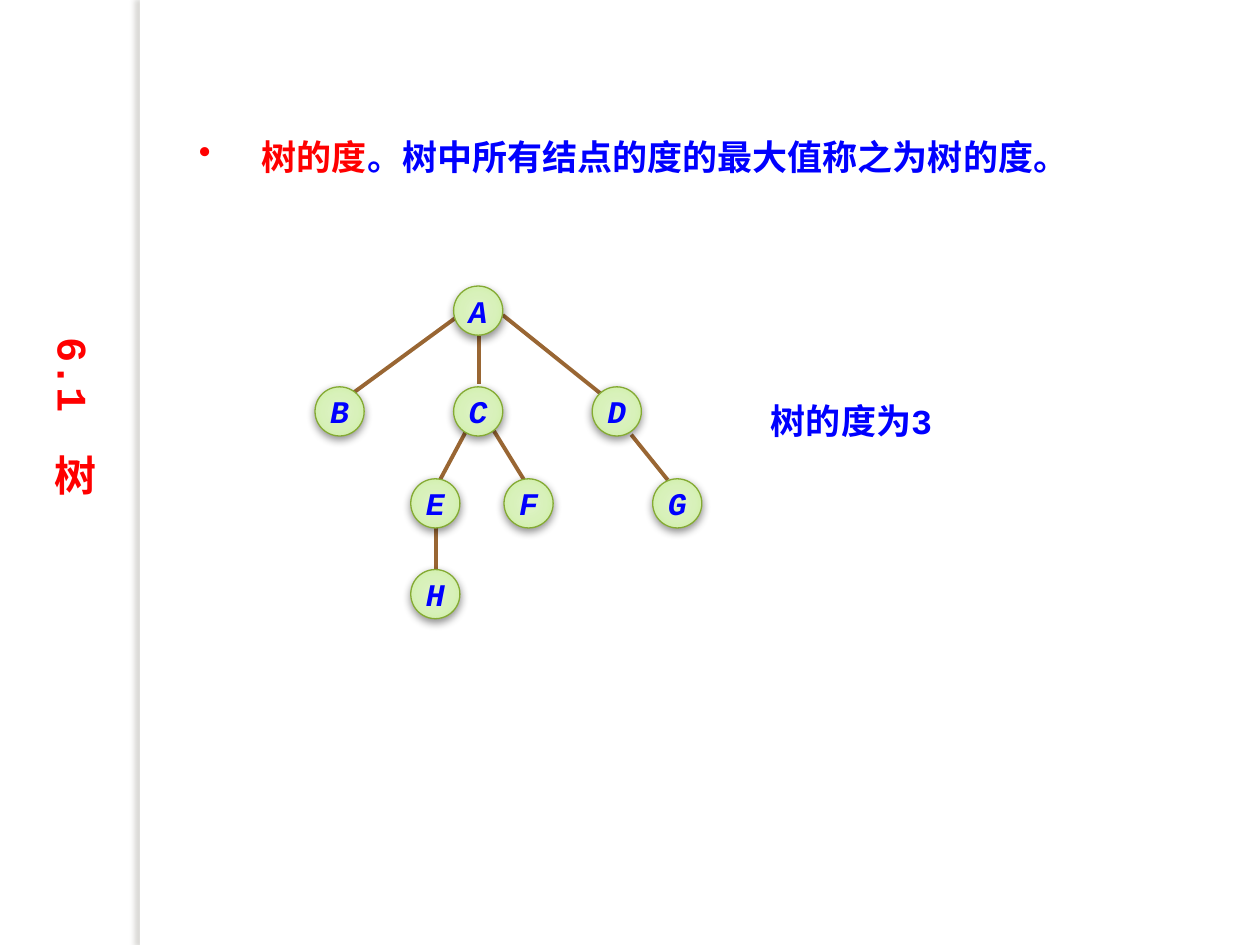
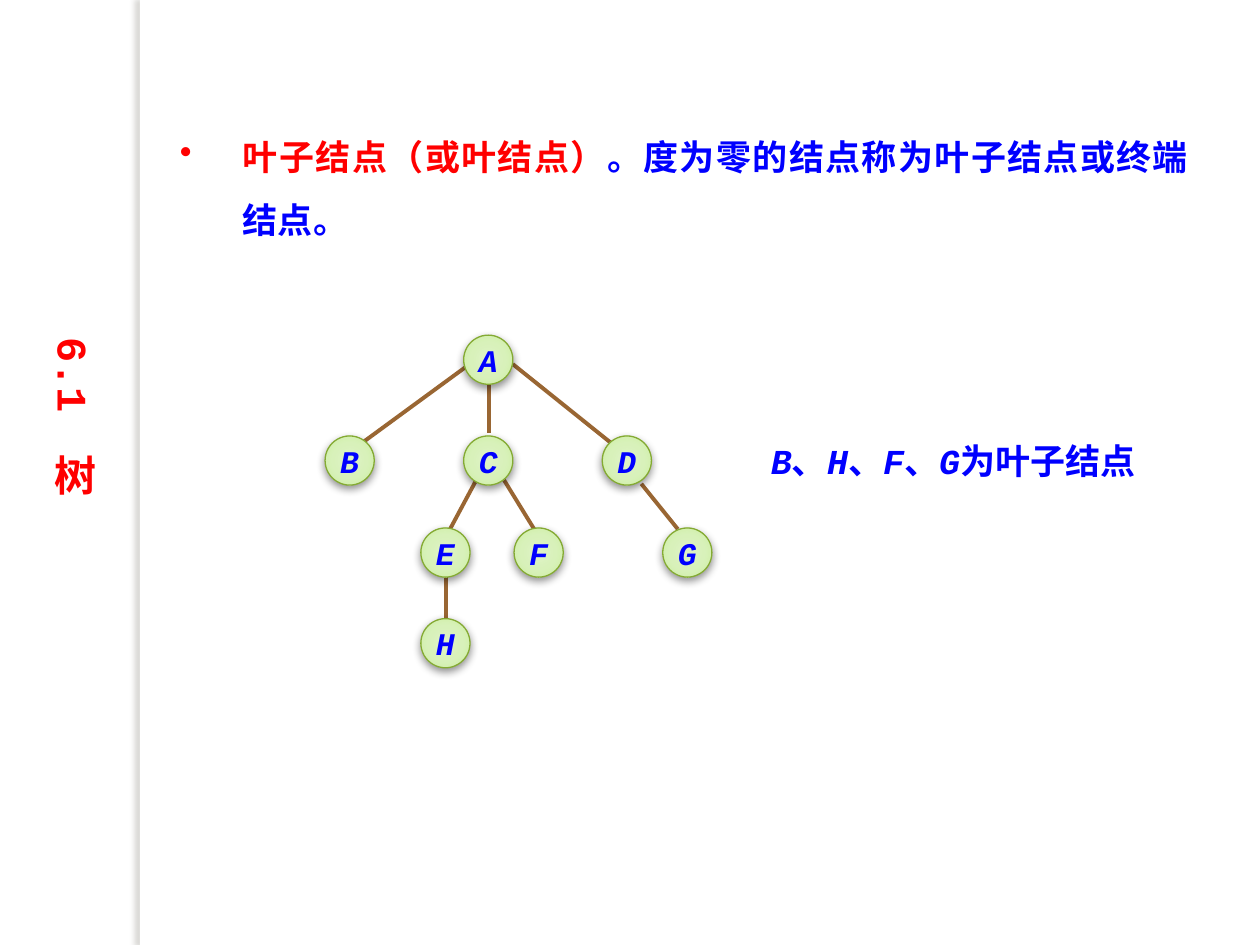
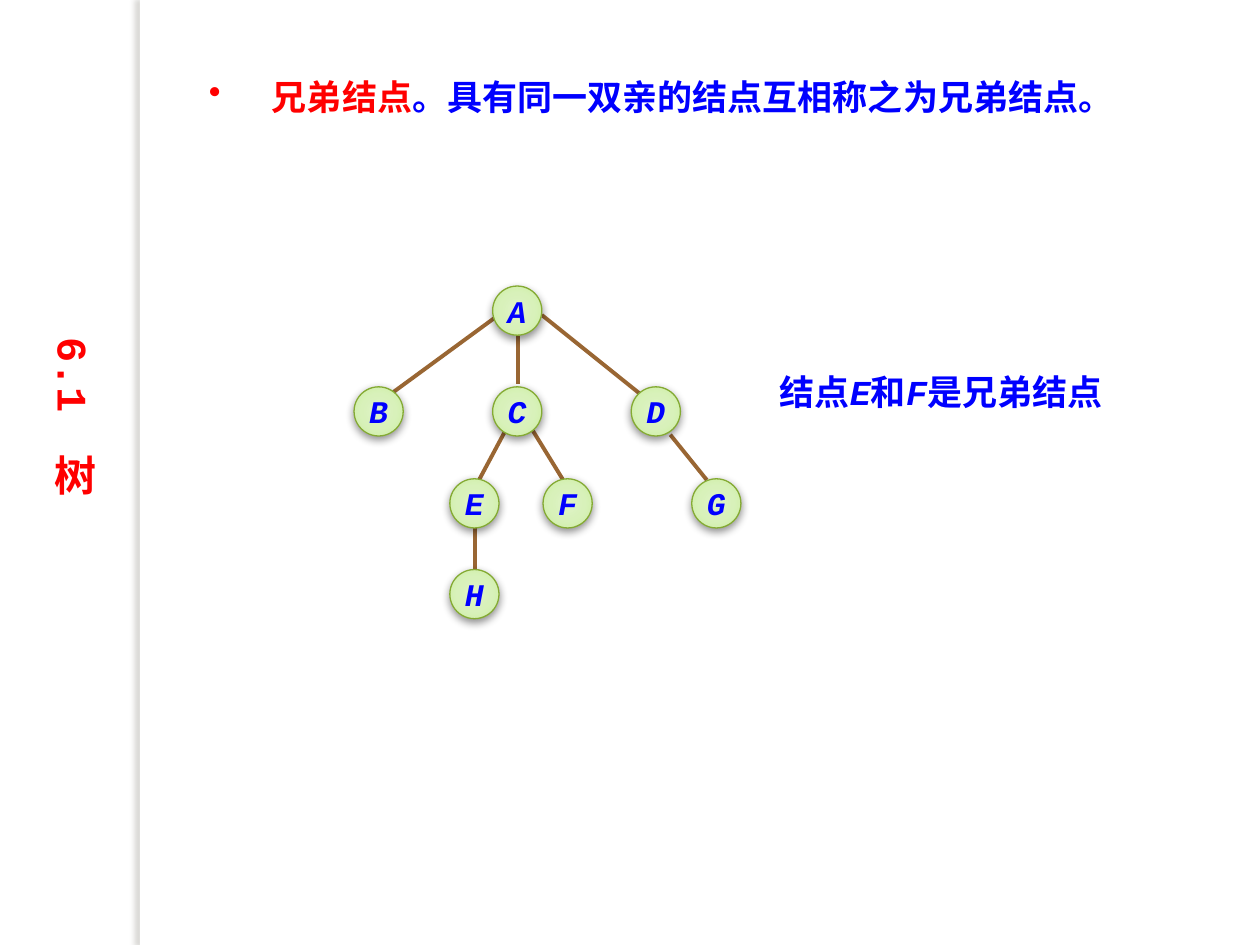
from dataclasses import dataclass

from lxml import etree
from pptx import Presentation
from pptx.dml.color import RGBColor
from pptx.enum.shapes import MSO_CONNECTOR, MSO_SHAPE
from pptx.enum.text import MSO_ANCHOR, MSO_AUTO_SIZE, PP_ALIGN
from pptx.oxml import parse_xml
from pptx.oxml.ns import nsdecls, qn
from pptx.util import Inches, Pt


@dataclass(frozen=True)
class Theme:
    """Colours, fonts and type sizes shared by the slides."""
    red: str = "FF0000"
    blue: str = "0000FF"
    white: str = "FFFFFF"
    edge: str = "996633"
    node_line: str = "84AA33"
    node_stops: tuple = ((0, "DFF3C7"), (50, "D8F1BA"), (97, "CDEFA2"), (100, "CAF199"))
    strip_shadow: tuple = ("736F63", 25, 3, 3, 180)
    node_shadow: tuple = ("000000", 43, 5, 2, 90)
    chinese: str = "Noto Sans CJK SC"
    mono: str = "Courier New"
    serif: str = "Times New Roman"
    title_size: int = 24
    body_size: int = 20
    node_size: int = 18


THEME = Theme()
SECTION = "6.1\u3000树"
NODE_SIZE = 0.39

# Top left corner of each node, relative to the box of the tree
COLUMN = 1.1
LEVELS = (0, 0.8, 1.53, 2.25)
NODES = {
    "A": (COLUMN, LEVELS[0]),
    "B": (0, LEVELS[1]), "C": (COLUMN, LEVELS[1]), "D": (2 * COLUMN, LEVELS[1]),
    "E": (0.76, LEVELS[2]), "F": (1.5, LEVELS[2]), "G": (2.68, LEVELS[2]),
    "H": (0.76, LEVELS[3]),
}
# Start and end of each branch, relative to the box of the tree
BRANCHES = {
    "AB": (1.12, 0.25, 0.26, 0.88),
    "AC": (1.3, 0.39, 1.3, 0.78),
    "AD": (1.49, 0.23, 2.3, 0.88),
    "CE": (1.2, 1.15, 0.97, 1.58),
    "CF": (1.42, 1.15, 1.66, 1.54),
    "DG": (2.51, 1.18, 2.8, 1.54),
    "EH": (0.96, 1.92, 0.96, 2.25),
}


def colour(value):
    """Turn a hex string into a colour."""
    return RGBColor.from_string(value)


def set_face(font, latin, value):
    """Set the Latin and Chinese faces and the colour of a font."""
    font.color.rgb = colour(value)
    font.name = latin
    etree.SubElement(font._element, qn("a:ea")).set("typeface", THEME.chinese)


def set_shadow(shape, value, alpha, blur, distance, angle):
    """Give a shape an outer shadow; lengths in points, angle in degrees."""
    shape.shadow.inherit = False
    effects = shape._element.spPr.find(qn("a:effectLst"))
    effects.append(parse_xml(
        f'<a:outerShdw {nsdecls("a")} blurRad="{Pt(blur)}" dist="{Pt(distance)}" '
        f'dir="{angle * 60000}" algn="ctr" rotWithShape="0"><a:srgbClr val="{value}">'
        f'<a:alpha val="{alpha * 1000}"/></a:srgbClr></a:outerShdw>'))


def set_radial_fill(shape, stops):
    """Fill a shape with a gradient that runs around its centre."""
    shape.fill.background()
    properties = shape._element.spPr
    marks = "".join(f'<a:gs pos="{position * 1000}"><a:srgbClr val="{value}"/></a:gs>'
                    for position, value in stops)
    properties.replace(properties.find(qn("a:noFill")), parse_xml(
        f'<a:gradFill {nsdecls("a")} rotWithShape="1"><a:gsLst>{marks}</a:gsLst>'
        '<a:path path="circle"><a:fillToRect l="50000" t="50000" r="50000" b="50000"/>'
        '</a:path></a:gradFill>'))


def add_text_box(slide, box):
    """Add a wrapping text box that grows; return its frame."""
    frame = slide.shapes.add_textbox(*map(Inches, box)).text_frame
    frame.word_wrap = True
    frame.auto_size = MSO_AUTO_SIZE.SHAPE_TO_FIT_TEXT
    return frame


def add_strip(slide, box):
    """Add the white strip whose shadow parts the side bar from the page."""
    strip = slide.shapes.add_shape(MSO_SHAPE.RECTANGLE, *map(Inches, box))
    strip.fill.solid()
    strip.fill.fore_color.rgb = colour(THEME.white)
    strip.line.fill.background()
    set_shadow(strip, *THEME.strip_shadow)


def add_section_title(slide, box):
    """Add the vertical section title in the side bar."""
    frame = add_text_box(slide, box)
    frame._txBody.bodyPr.set("vert", "eaVert")
    paragraph = frame.paragraphs[0]
    paragraph.add_run().text = SECTION
    paragraph.font.size = Pt(THEME.title_size)
    paragraph.font.bold = True
    set_face(paragraph.font, THEME.mono, THEME.red)


def add_definition(slide, box, term, meaning, face=THEME.mono, spaced=True):
    """Add a bulleted definition: the term in red, its meaning in blue."""
    paragraph = add_text_box(slide, box).paragraphs[0]
    if spaced:
        paragraph.alignment = PP_ALIGN.JUSTIFY
        paragraph.line_spacing = 1.5
        paragraph.space_before = Pt(THEME.body_size / 2)
    properties = paragraph._p.get_or_add_pPr()
    properties.set("marL", str(Inches(0.5)))
    properties.set("indent", str(Inches(-0.5)))
    bullet_colour = etree.SubElement(properties, qn("a:buClr"))
    etree.SubElement(bullet_colour, qn("a:srgbClr")).set("val", THEME.red)
    etree.SubElement(properties, qn("a:buChar")).set("char", "•")
    paragraph.font.size = Pt(THEME.body_size)
    paragraph.font.bold = True
    for text, latin, value in ((term, THEME.chinese, THEME.red),
                               (meaning, face, THEME.blue)):
        run = paragraph.add_run()
        run.text = text
        set_face(run.font, latin, value)


def add_remark(slide, box, parts):
    """Add the remark beside the tree, with node names in italics."""
    paragraph = add_text_box(slide, box).paragraphs[0]
    paragraph.font.size = Pt(THEME.body_size)
    paragraph.font.bold = True
    set_face(paragraph.font, THEME.mono, THEME.blue)
    for part in parts:
        run = paragraph.add_run()
        run.text = part
        run.font.italic = part in NODES


def add_branch(shapes, start_x, start_y, end_x, end_y):
    """Add one branch of the tree."""
    branch = shapes.add_connector(MSO_CONNECTOR.STRAIGHT,
                                  *map(Inches, (start_x, start_y, end_x, end_y)))
    branch.line.color.rgb = colour(THEME.edge)
    branch.line.width = Pt(2.25)
    etree.SubElement(branch._element.spPr, qn("a:effectLst"))


def add_node(shapes, left, top, name):
    """Add one round node with its name."""
    node = shapes.add_shape(MSO_SHAPE.OVAL, *map(Inches, (left, top, NODE_SIZE, NODE_SIZE)))
    set_radial_fill(node, THEME.node_stops)
    node.line.color.rgb = colour(THEME.node_line)
    node.line.width = Pt(0.75)
    set_shadow(node, *THEME.node_shadow)
    frame = node.text_frame
    frame.word_wrap = False
    frame.vertical_anchor = MSO_ANCHOR.MIDDLE
    paragraph = frame.paragraphs[0]
    paragraph.alignment = PP_ALIGN.CENTER
    paragraph.add_run().text = name
    paragraph.font.size = Pt(THEME.node_size)
    paragraph.font.bold = True
    paragraph.font.italic = True
    set_face(paragraph.font, THEME.mono, THEME.blue)


def add_tree(slide, left, top):
    """Add the sample tree as a group, with branches behind the nodes."""
    shapes = slide.shapes.add_group_shape().shapes
    for start_x, start_y, end_x, end_y in BRANCHES.values():
        add_branch(shapes, left + start_x, top + start_y, left + end_x, top + end_y)
    for name, (across, down) in NODES.items():
        add_node(shapes, left + across, top + down, name)


def add_tree_slide(presentation, definition, tree, remark):
    """Add a slide with a definition, the tree and a remark on it."""
    slide = presentation.slides.add_slide(presentation.slide_layouts[6])
    add_strip(slide, (1.11, 0, 0.08, 7.5))
    add_definition(slide, **definition)
    add_tree(slide, *tree)
    add_remark(slide, **remark)
    add_section_title(slide, (0.23, 2.58, 0.61, 1.8))


SLIDES = (
    dict(definition=dict(box=(1.48, 0.86, 8.05, 0.55), term="树的度",
                         meaning="。树中所有结点的度的最大值称之为树的度。"),
         tree=(2.5, 2.27),
         remark=dict(box=(6.02, 3.12, 2.42, 0.44), parts=("树的度为3",))),
    dict(definition=dict(box=(1.33, 0.86, 8.2, 1.11), term="叶子结点（或叶结点）",
                         meaning="。度为零的结点称为叶子结点或终端结点。"),
         tree=(2.58, 2.66),
         remark=dict(box=(6.02, 3.44, 3.28, 0.44),
                     parts=("B", "、", "H", "、", "F", "、", "G", "为叶子结点"))),
    dict(definition=dict(box=(1.56, 0.55, 8.05, 0.44), term="兄弟结点",
                         meaning="。具有同一双亲的结点互相称之为兄弟结点。",
                         face=THEME.serif, spaced=False),
         tree=(2.81, 2.27),
         remark=dict(box=(6.09, 2.89, 3.05, 0.44),
                     parts=("结点", "E", "和", "F", "是兄弟结点"))),
)


def main():
    """Build the presentation and save it."""
    presentation = Presentation()
    presentation.slide_width = Inches(10)
    presentation.slide_height = Inches(7.5)
    for content in SLIDES:
        add_tree_slide(presentation, **content)
    presentation.save("out.pptx")


main()
